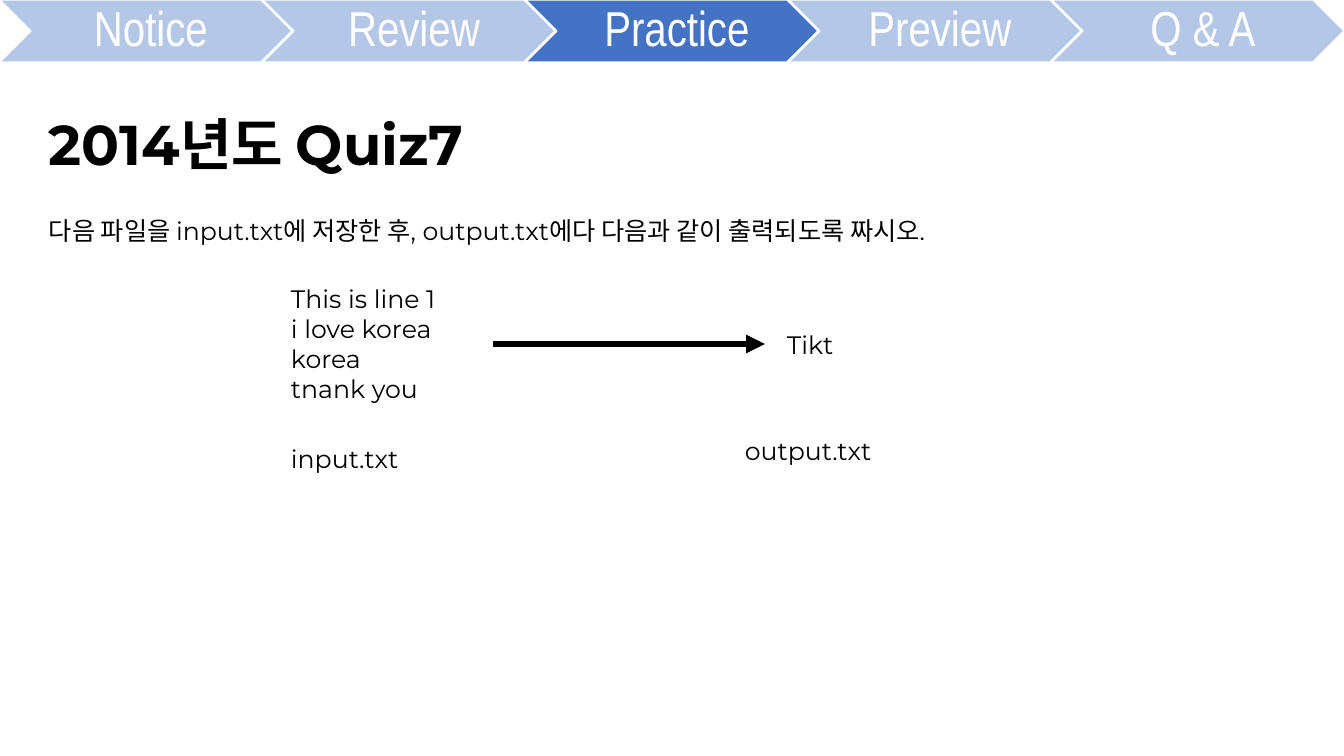
from dataclasses import dataclass

from pptx import Presentation
from pptx.dml.color import RGBColor
from pptx.enum.shapes import MSO_CONNECTOR, MSO_SHAPE
from pptx.enum.text import MSO_ANCHOR, MSO_AUTO_SIZE, PP_ALIGN
from pptx.oxml.ns import qn
from pptx.util import Pt
from lxml.etree import SubElement

EMU_PER_PIXEL = 914400 / 100.8


@dataclass(frozen=True)
class Theme:
    white: RGBColor = RGBColor(0xFF, 0xFF, 0xFF)
    black: RGBColor = RGBColor(0, 0, 0)
    step: RGBColor = RGBColor(0xB4, 0xC7, 0xE7)
    current_step: RGBColor = RGBColor(0x44, 0x72, 0xC4)
    body_font: str = "Montserrat"
    step_font: str = "Arial Narrow"
    title_size: int = 40
    step_size: int = 35
    body_size: int = 18


THEME = Theme()
STEPS = ["Notice", "Review", "Practice", "Preview", "Q & A"]
CURRENT_STEP = "Practice"
STEP_PITCH, STEP_WIDTH, STEP_HEIGHT = 263, 292, 62
LABEL_INSET = 32


def px(*lengths):
    return [round(length * EMU_PER_PIXEL) for length in lengths]


def style_text(frame, font, size, color, bold=False):
    for para in frame.paragraphs:
        for span in para.runs:
            span.font.name = font
            span.font.size = Pt(size)
            span.font.color.rgb = color
            span.font.bold = bold


def add_text(page, text, left, top, width, height, size=THEME.body_size, bold=False):
    box = page.shapes.add_textbox(*px(left, top, width, height))
    frame = box.text_frame
    frame.word_wrap = True
    frame.auto_size = MSO_AUTO_SIZE.SHAPE_TO_FIT_TEXT
    frame.text = text
    style_text(frame, THEME.body_font, size, THEME.black, bold)


def add_step(page, label, left):
    chevron = page.shapes.add_shape(
        MSO_SHAPE.CHEVRON, *px(left, 0, STEP_WIDTH, STEP_HEIGHT))
    chevron.shadow.inherit = False
    chevron.fill.solid()
    is_current = label == CURRENT_STEP
    chevron.fill.fore_color.rgb = THEME.current_step if is_current else THEME.step
    chevron.line.color.rgb = THEME.white
    chevron.line.width = Pt(1)

    box = page.shapes.add_textbox(
        *px(left + LABEL_INSET, 0, STEP_WIDTH - 2 * LABEL_INSET, STEP_HEIGHT))
    frame = box.text_frame
    frame.word_wrap = True
    frame.vertical_anchor = MSO_ANCHOR.MIDDLE
    frame.margin_left, frame.margin_top, frame.margin_right, frame.margin_bottom = px(15, 5, 5, 5)
    frame.text = label
    para = frame.paragraphs[0]
    para.alignment = PP_ALIGN.CENTER
    para.line_spacing = 0.9
    style_text(frame, THEME.step_font, THEME.step_size, THEME.white)


def add_arrow(page, start_x, end_x, y):
    arrow = page.shapes.add_connector(
        MSO_CONNECTOR.STRAIGHT, *px(start_x, y, end_x, y))
    arrow.line.color.rgb = THEME.black
    arrow.line.width = Pt(4.5)
    SubElement(arrow.line._get_or_add_ln(), qn("a:tailEnd"), type="triangle")
    SubElement(arrow._element.spPr, qn("a:effectLst"))


def main():
    deck = Presentation()
    deck.slide_width, deck.slide_height = px(1344, 756)
    page = deck.slides.add_slide(deck.slide_layouts[6])

    # Progress bar
    for index, label in enumerate(STEPS):
        add_step(page, label, index * STEP_PITCH)

    # Title and task
    add_text(page, "2014년도 Quiz7", 39, 105, 695, 78, THEME.title_size, bold=True)
    add_text(page, "다음 파일을 input.txt에 저장한 후, output.txt에다 다음과 같이 출력되도록 짜시오.",
             39, 210, 1248, 40)

    # Input file, arrow, output file
    add_text(page, "This is line 1\ni love korea\nkorea\ntnank you", 281, 278, 213, 132)
    add_text(page, "input.txt", 281, 438, 213, 40)
    add_arrow(page, 493, 765, 344)
    add_text(page, "Tikt", 777, 324, 213, 40)
    add_text(page, "output.txt", 735, 430, 213, 40)

    deck.save("out.pptx")


main()
